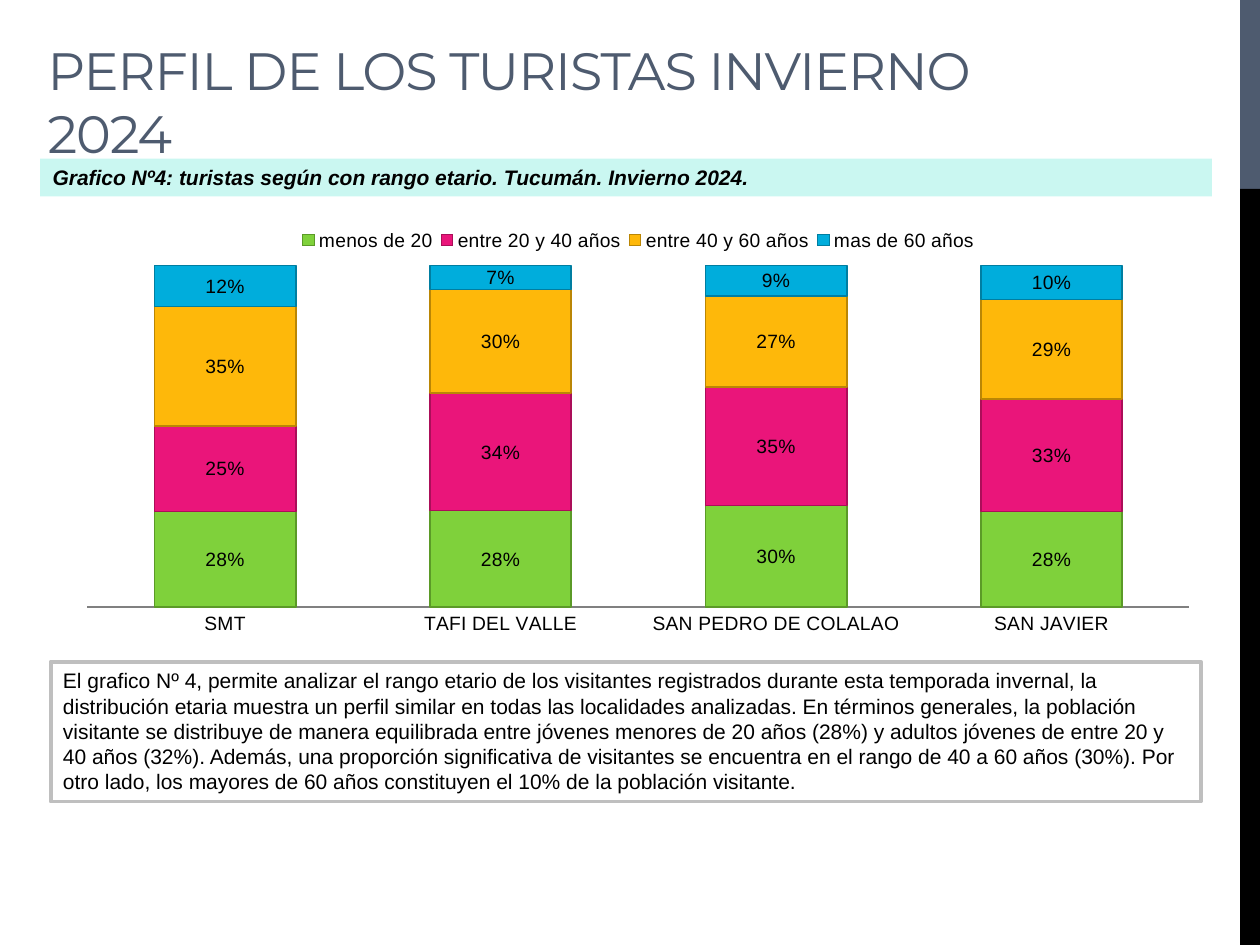
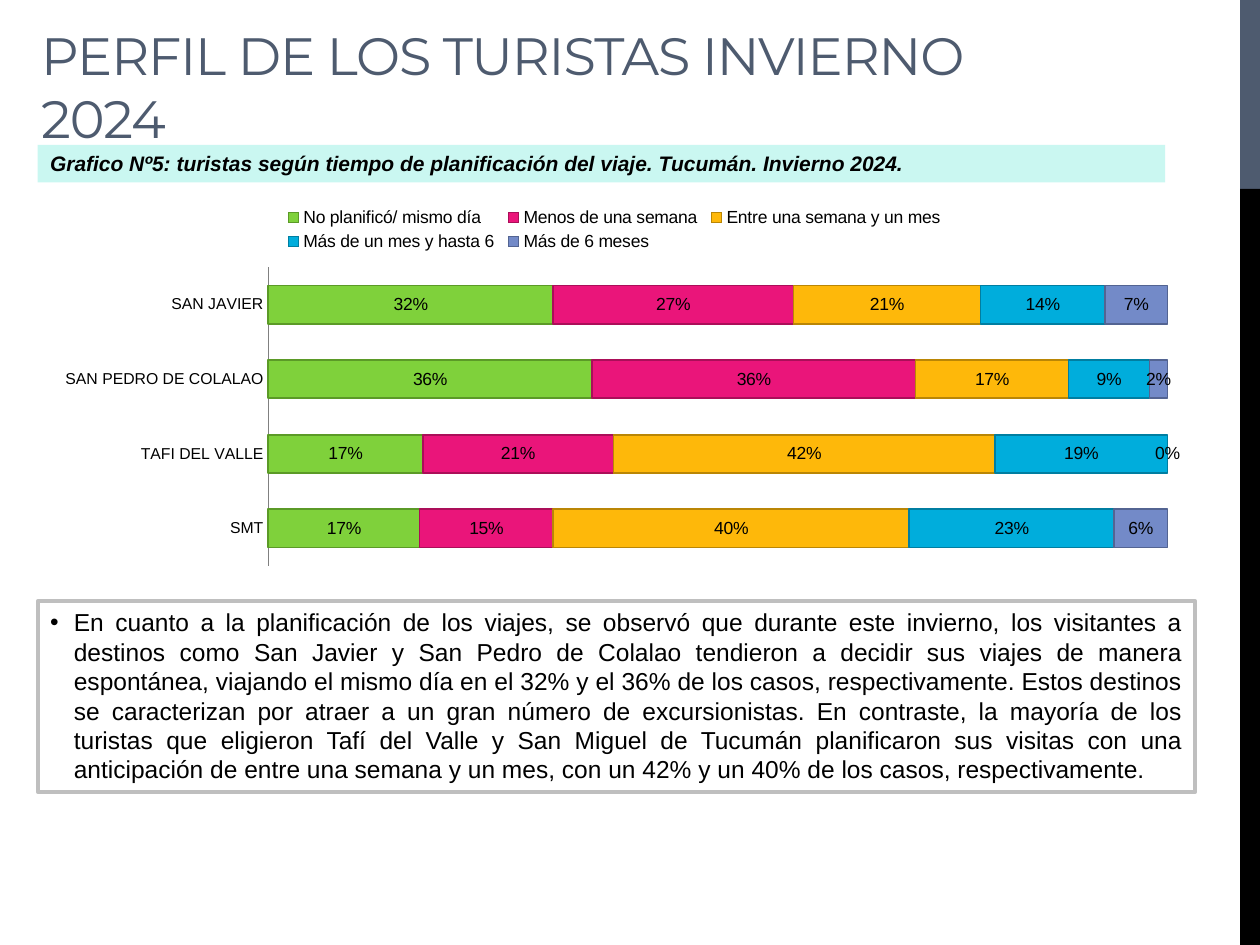
from lxml import etree
from pptx import Presentation
from pptx.chart.data import CategoryChartData
from pptx.dml.color import RGBColor
from pptx.enum.chart import XL_CHART_TYPE as CT, XL_LEGEND_POSITION as LP, XL_TICK_MARK as TM
from pptx.enum.shapes import MSO_SHAPE
from pptx.enum.text import MSO_ANCHOR as ANCHOR, PP_ALIGN as ALIGN
from pptx.oxml import parse_xml
from pptx.oxml.ns import nsdecls, qn
from pptx.util import Cm, Pt

SLATE = RGBColor(0x4E, 0x5B, 0x6F)
BLACK = RGBColor(0, 0, 0)
WHITE = RGBColor(0xFF, 0xFF, 0xFF)
MINT = RGBColor(0xCA, 0xF7, 0xF1)
BORDER = RGBColor(0xBF, 0xBF, 0xBF)
AXIS = RGBColor(0x80, 0x80, 0x80)

# Fill and darker outline of each series
SERIES_COLORS = [
    (RGBColor(0x7F, 0xD1, 0x3B), RGBColor(0x5B, 0x9A, 0x27)),
    (RGBColor(0xEA, 0x15, 0x7A), RGBColor(0xAB, 0x0E, 0x59)),
    (RGBColor(0xFE, 0xB8, 0x0A), RGBColor(0xBA, 0x86, 0x05)),
    (RGBColor(0x00, 0xAD, 0xDC), RGBColor(0x00, 0x7E, 0xA1)),
    (RGBColor(0x73, 0x8A, 0xC8), RGBColor(0x53, 0x64, 0x92)),
]

TITLE = "PERFIL DE LOS TURISTAS INVIERNO 2024"
PLACES = ["SMT", "TAFI DEL VALLE", "SAN PEDRO DE COLALAO", "SAN JAVIER"]
TITLE_FONT = {"name": "Montserrat", "size": Pt(30)}
CAPTION_FONT = {"name": "Arial", "size": Pt(12), "bold": True, "italic": True}

# Positions are left, top, width, height in cm; layouts are fractions of the chart
SLIDES = [
    {
        "title_at": (0.71, 0.33, 19.8, 3.1),
        "caption": "Grafico Nº4: turistas según con rango etario. Tucumán. Invierno 2024.",
        "caption_at": (0.81, 3.2, 23.62, 0.76),
        "chart_type": CT.COLUMN_STACKED_100,
        "chart_at": (1.3, 4.32, 23.14, 8.61),
        "chart_size": 11,
        "axis_size": 11,
        "plot_layout": (0.02, 0.12, 0.96, 0.8),
        "legend_layout": (0.2, 0.02, 0.6, 0.08),
        "series": {
            "menos de 20": (0.28, 0.28, 0.3, 0.28),
            "entre 20 y 40 años": (0.25, 0.34, 0.35, 0.33),
            "entre 40 y 60 años": (0.35, 0.3, 0.27, 0.29),
            "mas de 60 años": (0.12, 0.07, 0.09, 0.1),
        },
        "note": "El grafico Nº 4, permite analizar el rango etario de los visitantes "
                "registrados durante esta temporada invernal, la distribución etaria muestra "
                "un perfil similar en todas las localidades analizadas. En términos generales, "
                "la población visitante se distribuye de manera equilibrada entre jóvenes "
                "menores de 20 años (28%) y adultos jóvenes de entre 20 y 40 años (32%). "
                "Además, una proporción significativa de visitantes se encuentra en el rango "
                "de 40 a 60 años (30%). Por otro lado, los mayores de 60 años constituyen el "
                "10% de la población visitante.",
        "note_at": (1.02, 13.34, 23.19, 2.82),
        "note_size": 12,
        "bullet": False,
    },
    {
        "title_at": (0.58, -0.05, 19.8, 3.18),
        "caption": "Grafico Nº5: turistas según tiempo de planificación del viaje. "
                   "Tucumán. Invierno 2024.",
        "caption_at": (0.76, 2.92, 22.73, 0.76),
        "chart_type": CT.BAR_STACKED_100,
        "chart_at": (0.76, 3.94, 23.24, 7.62),
        "chart_size": 10,
        "axis_size": 9,
        "plot_layout": (0.2, 0.19, 0.78, 0.79),
        "legend_layout": (0.21, 0.02, 0.58, 0.14),
        "series": {
            "No planificó/ mismo día": (0.17, 0.17, 0.36, 0.32),
            "Menos de una semana": (0.15, 0.21, 0.36, 0.27),
            "Entre una semana y un mes": (0.4, 0.42, 0.17, 0.21),
            "Más de un mes y hasta 6": (0.23, 0.19, 0.09, 0.14),
            "Más de 6 meses": (0.06, 0, 0.02, 0.07),
        },
        "note": "En cuanto a la planificación de los viajes, se observó que durante este "
                "invierno, los visitantes a destinos como San Javier y San Pedro de Colalao "
                "tendieron a decidir sus viajes de manera espontánea, viajando el mismo día en "
                "el 32% y el 36% de los casos, respectivamente. Estos destinos se caracterizan "
                "por atraer a un gran número de excursionistas. En contraste, la mayoría de "
                "los turistas que eligieron Tafí del Valle y San Miguel de Tucumán "
                "planificaron sus visitas con una anticipación de entre una semana y un mes, "
                "con un 42% y un 40% de los casos, respectivamente.",
        "note_at": (0.76, 12.12, 23.34, 3.84),
        "note_size": 14,
        "bullet": True,
    },
]


def add_box(s, at, fill=None, text="", font=None, color=BLACK):
    """Add a plain rectangle, with left-aligned text if there is any."""
    sp = s.shapes.add_shape(MSO_SHAPE.RECTANGLE, *map(Cm, at))
    sp.shadow.inherit = False
    sp.line.fill.background()
    if fill is None:
        sp.fill.background()
    else:
        sp.fill.solid()
        sp.fill.fore_color.rgb = fill
    if text:
        tf = sp.text_frame
        tf.word_wrap = True
        tf.vertical_anchor = ANCHOR.TOP
        p = tf.paragraphs[0]
        p.alignment = ALIGN.LEFT
        r = p.add_run()
        r.text = text
        r.font.color.rgb = color
        for key, value in font.items():
            setattr(r.font, key, value)
    return sp


def set_layout(parent, index, fractions, inner=False):
    """Fix the place of a plot area or legend inside its chart."""
    for old in parent.findall(qn("c:layout")):
        parent.remove(old)
    target = '<c:layoutTarget val="inner"/>' if inner else ""
    modes = '<c:xMode val="edge"/><c:yMode val="edge"/>'
    sizes = "".join(f'<c:{k} val="{v}"/>' for k, v in zip("xywh", fractions))
    parent.insert(index, parse_xml(
        f'<c:layout {nsdecls("c")}><c:manualLayout>{target}{modes}{sizes}'
        "</c:manualLayout></c:layout>"))


prs = Presentation()
prs.slide_width, prs.slide_height = Cm(25.4), Cm(19.05)

for content in SLIDES:
    s = prs.slides.add_slide(prs.slide_layouts[6])

    # Side bands
    add_box(s, (25, 0, 0.4, 3.81), SLATE)
    add_box(s, (25, 3.81, 0.4, 15.24), BLACK)

    # Title
    sp = add_box(s, content["title_at"], None, TITLE, TITLE_FONT, SLATE)
    sp.text_frame.vertical_anchor = ANCHOR.BOTTOM
    sp.text_frame.paragraphs[0].runs[0].font._element.set("spc", "-60")

    # Chart caption
    add_box(s, content["caption_at"], MINT, content["caption"], CAPTION_FONT)

    # Chart
    data = CategoryChartData(number_format="0%")
    data.categories = PLACES
    for name, values in content["series"].items():
        data.add_series(name, values)
    chart = s.shapes.add_chart(
        content["chart_type"], *map(Cm, content["chart_at"]), data).chart
    chart.has_title = False
    chart.font.name = "Arial"
    chart.font.size = Pt(content["chart_size"])
    chart.font.color.rgb = BLACK

    plot = chart.plots[0]
    plot.gap_width, plot.overlap = 95, 100
    plot.vary_by_categories = False
    plot.has_data_labels = True
    labels = plot.data_labels
    labels.show_value = True
    labels.number_format, labels.number_format_is_linked = "0%", False
    for series, (fill, outline) in zip(plot.series, SERIES_COLORS):
        series.format.fill.solid()
        series.format.fill.fore_color.rgb = fill
        series.format.line.color.rgb = outline
        series.format.line.width = Pt(1)

    axis = chart.category_axis
    axis.major_tick_mark = axis.minor_tick_mark = TM.NONE
    axis.tick_labels.font.size = Pt(content["axis_size"])
    axis.format.line.color.rgb = AXIS
    chart.value_axis.visible = False
    chart.value_axis.has_major_gridlines = False
    chart.value_axis.maximum_scale = 1

    chart.has_legend = True
    chart.legend.position = LP.TOP
    chart.legend.include_in_layout = False
    set_layout(chart.legend._element, 1, content["legend_layout"])
    set_layout(chart._chartSpace.chart.plotArea, 0, content["plot_layout"], inner=True)

    # Framed commentary
    font = {"name": "Arial", "size": Pt(content["note_size"])}
    sp = add_box(s, content["note_at"], WHITE, content["note"], font)
    sp.line.color.rgb = BORDER
    sp.line.width = Pt(2.25)
    if content["bullet"]:
        p = sp.text_frame.paragraphs[0]
        p.alignment = ALIGN.JUSTIFY
        pPr = p._p.get_or_add_pPr()
        pPr.set("marL", str(Cm(0.48)))
        pPr.set("indent", str(-Cm(0.48)))
        etree.SubElement(pPr, qn("a:buFont")).set("typeface", "Arial")
        etree.SubElement(pPr, qn("a:buChar")).set("char", "•")

prs.save("out.pptx")
